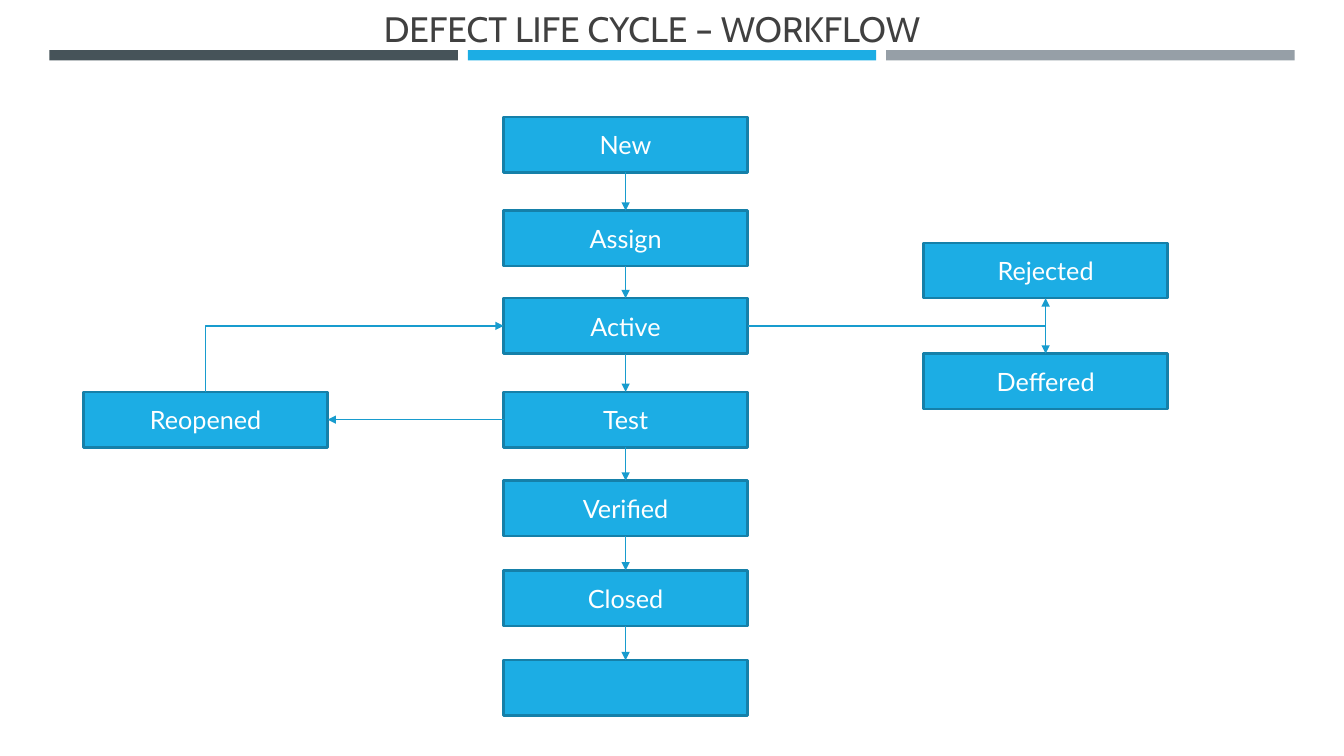
from itertools import pairwise

from lxml.etree import SubElement
from pptx import Presentation
from pptx.dml.color import RGBColor
from pptx.enum.shapes import MSO_CONNECTOR, MSO_SHAPE
from pptx.enum.text import MSO_ANCHOR, PP_ALIGN
from pptx.oxml.ns import qn
from pptx.util import Inches, Pt

BLUE = RGBColor(0x1C, 0xAD, 0xE4)
EDGE_BLUE = RGBColor(0x15, 0x80, 0xA9)
ARROW_BLUE = RGBColor(0x18, 0x9C, 0xCE)
SLATE = RGBColor(0x46, 0x53, 0x59)
GREY = RGBColor(0x96, 0x9F, 0xA7)
DARK = RGBColor(0x40, 0x40, 0x40)
WHITE = RGBColor(0xFF, 0xFF, 0xFF)

TOP, LEFT, BOTTOM, RIGHT = range(4)  # connection sites of a rectangle

# Column, then row counted in state heights
STATES = {
    "New": (1, 0),
    "Assign": (1, 1.69),
    "Active": (1, 3.27),
    "Test": (1, 4.96),
    "Verified": (1, 6.56),
    "Closed": (1, 8.18),
    "": (1, 9.8),
    "Rejected": (2, 2.27),
    "Deffered": (2, 4.27),
    "Reopened": (0, 4.96),
}
MAIN_PATH = ["New", "Assign", "Active", "Test", "Verified", "Closed", ""]
ROWS = 10.8
STATE_WIDTH = 0.225  # share of the workflow's width


def write(frame, text, *, font, size, color, anchor):
    frame.word_wrap = True
    frame.vertical_anchor = anchor
    para = frame.paragraphs[0]
    para.alignment = PP_ALIGN.CENTER
    span = para.add_run()
    span.text = text
    span.font.name = font
    span.font.size = Pt(size)
    span.font.color.rgb = color


def add_rectangle(page, left, top, width, height, fill, edge=None):
    shape = page.shapes.add_shape(
        MSO_SHAPE.RECTANGLE, *map(Inches, (left, top, width, height)))
    shape.shadow.inherit = False
    shape.fill.solid()
    shape.fill.fore_color.rgb = fill
    if edge is None:
        shape.line.fill.background()
    else:
        shape.line.color.rgb = edge
        shape.line.width = Pt(1.75)
    return shape


def add_line(page, *ends, kind=MSO_CONNECTOR.STRAIGHT, heads=("tailEnd",)):
    """Draw a connector; ends are begin x, begin y, end x, end y in EMU."""
    line = page.shapes.add_connector(kind, *map(int, ends))
    line.line.color.rgb = ARROW_BLUE
    line.line.width = Pt(1)
    outline = line.line._get_or_add_ln()
    for head in heads:
        SubElement(outline, qn(f"a:{head}"), type="triangle")
    SubElement(line._element.spPr, qn("a:effectLst"))
    return line


def link(page, start, start_site, end, end_site, **style):
    line = add_line(page, 0, 0, 0, 0, **style)
    line.begin_connect(start, start_site)
    line.end_connect(end, end_site)


def add_corner_arrow(page, x1, y1, x2, y2):
    """Go up from the first point, then right to the second."""
    center_x, center_y = (x1 + x2) / 2, (y1 + y2) / 2
    half_width, half_height = (y1 - y2) / 2, (x2 - x1) / 2
    arrow = add_line(
        page, center_x + half_width, center_y + half_height,
        center_x - half_width, center_y - half_height,
        kind=MSO_CONNECTOR.ELBOW)
    properties = arrow._element.spPr
    properties.find(qn("a:xfrm")).set("rot", str(90 * 60000))
    properties.find(qn("a:prstGeom")).set("prst", "bentConnector2")


def add_header(page, left, top, width, height):
    bar_width, gap = width * 0.328, width * 0.008
    for index, color in enumerate((SLATE, BLUE, GREY)):
        add_rectangle(page, left + index * (bar_width + gap),
                      top + height * 0.83, bar_width, height * 0.17, color)
    title = page.shapes.title
    title.left, title.top = Inches(left - 0.05), Inches(top)
    title.width, title.height = Inches(width * 0.976), Inches(height * 0.91)
    write(title.text_frame, "DEFECT LIFE CYCLE – WORKFLOW", font="Cabin",
          size=25.2, color=DARK, anchor=MSO_ANCHOR.BOTTOM)


def add_workflow(page, left, top, width, height):
    state_width, row = width * STATE_WIDTH, height / ROWS
    pitch = (width - state_width) / 2
    boxes = {}
    for name, (column, offset) in STATES.items():
        box = add_rectangle(page, left + column * pitch, top + offset * row,
                            state_width, row, BLUE, EDGE_BLUE)
        if name:
            write(box.text_frame, name, font="Lato", size=18, color=WHITE,
                  anchor=MSO_ANCHOR.MIDDLE)
        boxes[name] = box

    for start, end in pairwise(MAIN_PATH):
        link(page, boxes[start], BOTTOM, boxes[end], TOP)
    link(page, boxes["Rejected"], BOTTOM, boxes["Deffered"], TOP,
         heads=("headEnd", "tailEnd"))
    link(page, boxes["Test"], LEFT, boxes["Reopened"], RIGHT)

    active, rejected, reopened = (
        boxes[name] for name in ("Active", "Rejected", "Reopened"))
    middle = active.top + active.height / 2
    add_line(page, active.left + active.width, middle,
             rejected.left + rejected.width / 2, middle, heads=())
    add_corner_arrow(page, reopened.left + reopened.width / 2, reopened.top,
                     active.left, middle)


def main():
    deck = Presentation()
    deck.slide_width, deck.slide_height = Inches(13.33), Inches(7.5)
    page = deck.slides.add_slide(deck.slide_layouts[5])
    add_header(page, 0.49, 0, 12.35, 0.6)
    add_workflow(page, 0.83, 1.16, 10.75, 5.94)
    deck.save("out.pptx")


if __name__ == "__main__":
    main()
